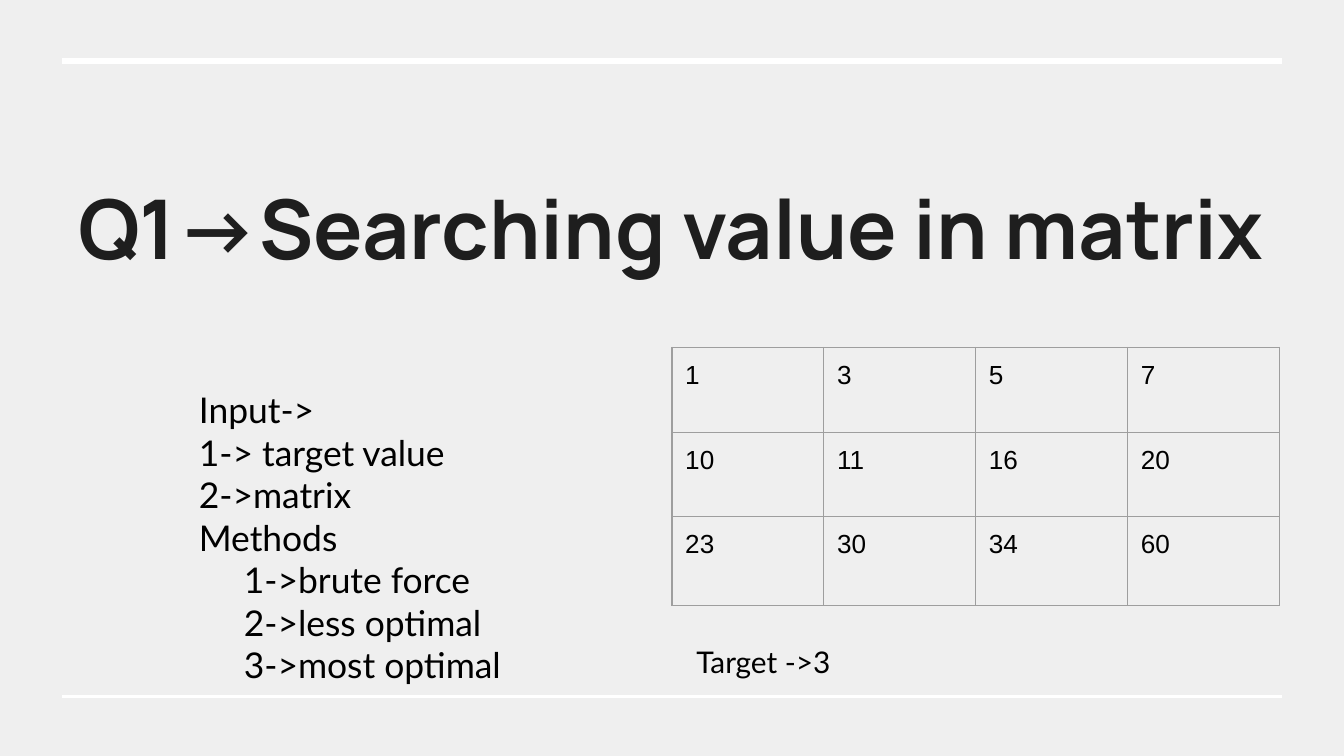
from lxml.etree import SubElement
from pptx import Presentation
from pptx.dml.color import RGBColor
from pptx.enum.text import MSO_ANCHOR, MSO_AUTO_SIZE, PP_ALIGN
from pptx.enum.shapes import MSO_CONNECTOR
from pptx.oxml.ns import qn
from pptx.util import Cm, Pt

INSET = Cm(0.25)
BLACK = "000000"
MATRIX = [[1, 3, 5, 7], [10, 11, 16, 20], [23, 30, 34, 60]]
ROW_HEIGHTS = [1.6, 1.6, 1.68]
LIST_ITEMS = [
    ("Input->", 0),
    ("1-> target value", 0),
    ("2->matrix", 0),
    ("Methods", 0),
    ("1->brute force", 1),
    ("2->less optimal", 1),
    ("3->most optimal", 1),
]


def color(hex_value):
    return RGBColor.from_string(hex_value)


def place(shape, box):
    shape.left, shape.top, shape.width, shape.height = (Cm(value) for value in box)


def prepare_frame(text_frame, anchor=MSO_ANCHOR.TOP):
    text_frame.word_wrap = True
    text_frame.auto_size = MSO_AUTO_SIZE.NONE
    text_frame.vertical_anchor = anchor
    text_frame.margin_left = text_frame.margin_right = INSET
    text_frame.margin_top = text_frame.margin_bottom = INSET


def format_runs(paragraph, font_name, size, hex_value, bold=False):
    for run in paragraph.runs:
        run.font.name = font_name
        run.font.size = Pt(size)
        run.font.bold = bold
        run.font.color.rgb = color(hex_value)


def add_rule(slide, left, right, top, weight):
    rule = slide.shapes.add_connector(
        MSO_CONNECTOR.STRAIGHT, Cm(left), Cm(top), Cm(right), Cm(top))
    rule.line.color.rgb = color("FFFFFF")
    rule.line.width = Pt(weight)
    SubElement(rule._element.spPr, qn("a:effectLst"))


def fill_title(slide, box):
    title = slide.shapes.title
    place(title, box)
    prepare_frame(title.text_frame, MSO_ANCHOR.MIDDLE)
    title.text_frame.text = "Q1->Searching value in matrix"
    paragraph = title.text_frame.paragraphs[0]
    paragraph.alignment = PP_ALIGN.CENTER
    format_runs(paragraph, "Manrope", 44.1, "1E1E1E", bold=True)


def fill_list(slide, box):
    body = slide.placeholders[1]
    place(body, box)
    text_frame = body.text_frame
    prepare_frame(text_frame)
    text_frame.text = "\n".join(text for text, _ in LIST_ITEMS)
    for paragraph, (_, depth) in zip(text_frame.paragraphs, LIST_ITEMS):
        paragraph.space_before = Pt(0)
        paragraph.line_spacing = 1.0
        properties = paragraph._p.get_or_add_pPr()
        properties.set("marL", str(Cm(0.85 * depth)))
        properties.set("indent", "0")
        SubElement(properties, qn("a:buNone"))
        format_runs(paragraph, "Lato", 19, BLACK)


def set_borders(cell, hex_value, weight):
    properties = cell._tc.get_or_add_tcPr()
    for position, side in enumerate(("lnL", "lnR", "lnT", "lnB")):
        line = properties.makeelement(qn(f"a:{side}"), {"w": str(Pt(weight))})
        fill = SubElement(line, qn("a:solidFill"))
        SubElement(fill, qn("a:srgbClr"), val=hex_value)
        properties.insert(position, line)


def add_matrix(slide, box):
    frame = slide.shapes.add_table(
        len(MATRIX), len(MATRIX[0]), *(Cm(value) for value in box))
    table = frame.table
    table.first_row = table.horz_banding = False
    for column in table.columns:
        column.width = Cm(box[2] / len(MATRIX[0]))
    for row, height, values in zip(table.rows, ROW_HEIGHTS, MATRIX):
        row.height = Cm(height)
        for cell, value in zip(row.cells, values):
            cell.fill.background()
            cell.margin_left = cell.margin_right = INSET
            cell.margin_top = cell.margin_bottom = INSET
            cell.text_frame.text = str(value)
            format_runs(cell.text_frame.paragraphs[0], "Arial", 14, BLACK)
            set_borders(cell, "9E9E9E", 0.75)


def add_target(slide, box):
    text_frame = slide.shapes.add_textbox(*(Cm(value) for value in box)).text_frame
    prepare_frame(text_frame)
    text_frame.text = "Target ->3"
    format_runs(text_frame.paragraphs[0], "Lato", 16, BLACK)


def main():
    presentation = Presentation()
    presentation.slide_width, presentation.slide_height = Cm(25.4), Cm(14.29)
    slide = presentation.slides.add_slide(presentation.slide_layouts[1])
    slide.background.fill.solid()
    slide.background.fill.fore_color.rgb = color("EFEFEF")

    add_rule(slide, 1.18, 24.23, 1.15, 3)
    add_rule(slide, 1.18, 24.23, 13.16, 1.5)
    fill_title(slide, (1.17, 2.13, 23.04, 4.3))
    fill_list(slide, (3.51, 7.09, 14.17, 6.2))
    add_matrix(slide, (12.7, 6.57, 11.48, sum(ROW_HEIGHTS)))
    add_target(slide, (12.91, 11.91, 7.19, 1.2))
    presentation.save("out.pptx")


if __name__ == "__main__":
    main()
